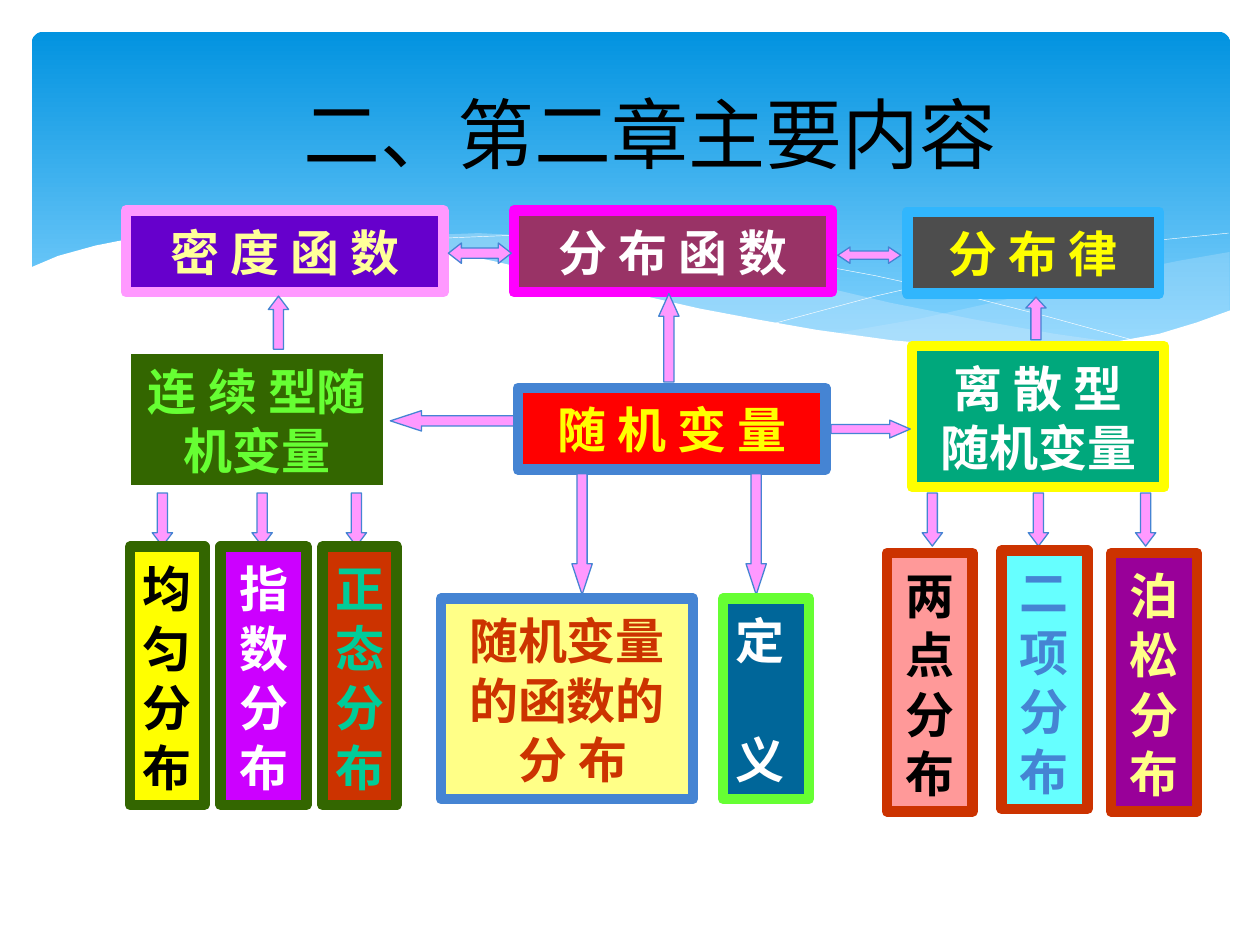
from dataclasses import dataclass

from lxml import etree
from pptx import Presentation
from pptx import util as u
from pptx.dml import color as dml
from pptx.enum import shapes, text
from pptx.oxml import ns

COLORS = {
    "sky": "0293E0", "pale sky": "83D3FE", "mist": "C6E7FC", "azure": "31B6FD",
    "blue": "4584D3", "ocean": "006699", "cyan": "66FFFF", "teal": "00A87C",
    "mint": "00CC99", "forest": "336600", "lime": "66FF33", "yellow": "FFFF00",
    "cream": "FFFF87", "light yellow": "FFFF99", "red": "FF0000", "brick": "CC3300",
    "salmon": "FF9999", "pink": "FF99FF", "magenta": "FF00FF", "plum": "993366",
    "purple": "990099", "violet": "CC00FF", "indigo": "6600CC", "gray": "4D4D4D",
    "black": "000000", "white": "FFFFFF",
}
FONT = "Noto Sans CJK SC"
KIND = shapes.MSO_SHAPE
ALIGN = text.PP_ALIGN


@dataclass
class Card:
    label: str
    left: float
    top: float
    width: float
    height: float
    fill: str
    border: str
    ink: str
    align: ALIGN = ALIGN.CENTER
    gap: float = 0


@dataclass
class Arrow:
    kind: KIND
    left: float
    top: float
    width: float
    height: float
    head: float


@dataclass
class Wave:
    points: list
    fill: str = ""
    opacity: int = 100


WAVES = [
    Wave([(24.79, 5.08), (23.75, 5.26), (22.63, 5.49), (21.13, 5.84), (19.79, 6.15),
          (18.52, 6.43), (16.79, 6.73), (17.91, 6.88), (19.23, 7.01), (20.4, 7.06),
          (21.69, 7.01), (22.78, 6.86), (23.75, 6.65), (24.79, 6.27)], "mist", 29),
    Wave([(22.68, 6.93), (21.26, 6.73), (19.69, 6.45), (17.93, 6.1), (15.98, 5.64),
          (14.45, 5.28), (13.06, 5.03), (11.81, 4.85), (10.67, 4.75), (9.65, 4.7),
          (8.33, 4.75), (7.26, 4.85), (8.69, 5.05), (10.26, 5.36), (11.4, 5.64),
          (13.46, 6.1), (15.27, 6.48), (16.89, 6.76), (18.34, 6.96), (19.63, 7.04),
          (20.78, 7.06), (21.77, 7.04)], "mist", 40),
    Wave([(7.85, 4.95), (8.97, 4.8), (10.19, 4.75), (11.43, 4.78), (12.95, 4.88),
          (14.78, 5.08), (16.15, 5.28), (17.65, 5.56), (19.3, 5.92), (21.11, 6.38),
          (23.04, 6.91)]),
    Wave([(15.57, 6.53), (17.65, 5.97), (19, 5.66), (20.47, 5.33), (22, 5.05),
          (23.47, 4.83), (24.77, 4.7)]),
    Wave([(0.58, 5.41), (1.17, 5.16), (1.93, 4.95), (2.69, 4.8), (3.71, 4.7),
          (4.9, 4.67), (6.35, 4.72), (7.42, 4.83), (8.64, 5), (9.93, 5.26),
          (11.35, 5.59), (12.78, 5.92), (14.1, 6.22), (15.32, 6.45), (16.46, 6.65),
          (17.98, 6.86), (19.33, 6.98), (20.55, 7.04), (21.59, 6.98), (22.53, 6.88),
          (23.37, 6.73), (24.13, 6.5), (24.82, 6.25), (24.82, 8.36), (0.58, 8.36)], "white"),
]

CONCEPTS = [
    Card("随 机 变 量", 10.44, 7.82, 6.2, 1.65, "red", "blue", "yellow"),
    Card("离 散 型\n随机变量", 18.39, 6.98, 5.08, 2.84, "teal", "yellow", "white"),
    Card("连 续 型随机变量", 2.54, 7.04, 5.28, 2.84, "forest", "white", "lime"),
    Card("分 布 函 数", 10.36, 4.24, 6.4, 1.65, "plum", "magenta", "white"),
    Card("分 布 律", 18.29, 4.27, 5.08, 1.65, "gray", "azure", "yellow"),
    Card("密 度 函 数", 2.54, 4.24, 6.4, 1.65, "indigo", "pink", "light yellow"),
]

ARROWS = [
    Arrow(KIND.RIGHT_ARROW, 16.75, 8.47, 1.6, 0.36, 1.15),
    Arrow(KIND.LEFT_ARROW, 7.87, 8.28, 2.49, 0.41, 1.53),
    Arrow(KIND.UP_ARROW, 13.28, 5.92, 0.41, 1.78, 1.11),
    Arrow(KIND.UP_ARROW, 20.68, 5.99, 0.41, 0.86, 0.54),
    Arrow(KIND.UP_ARROW, 5.41, 5.97, 0.41, 1.07, 0.66),
    Arrow(KIND.LEFT_RIGHT_ARROW, 9.04, 4.9, 1.27, 0.41, 0.64),
    Arrow(KIND.LEFT_RIGHT_ARROW, 16.89, 4.98, 1.27, 0.33, 0.75),
    *[Arrow(KIND.DOWN_ARROW, left, 9.94, 0.41, 1.07, 0.66)
      for left in (3.07, 5.08, 6.98, 18.59, 20.73, 22.89)],
    *[Arrow(KIND.DOWN_ARROW, left, 9.55, 0.41, 2.44, 1.52) for left in (11.53, 15.04)],
]

DETAILS = [
    Card("均\n匀\n分\n布", 2.62, 11.02, 1.5, 5.21, "yellow", "forest", "black"),
    Card("指\n数\n分\n布", 4.45, 11.02, 1.73, 5.21, "violet", "forest", "white"),
    Card("正\n态\n分\n布", 6.5, 11.02, 1.5, 5.21, "brick", "forest", "mint"),
    Card("两\n点\n分\n布", 17.88, 11.15, 1.73, 5.21, "salmon", "brick", "black"),
    Card("二\n项\n分\n布", 20.19, 11.1, 1.73, 5.21, "cyan", "brick", "blue"),
    Card("泊\n松\n分\n布", 22.4, 11.15, 1.73, 5.21, "purple", "brick", "cream"),
    Card("随机变量\n的函数的\n 分 布", 8.89, 12.07, 5.08, 4.04, "cream", "blue", "brick"),
    Card("定\n义", 14.58, 12.07, 1.73, 4.04, "ocean", "lime", "white", ALIGN.LEFT, 34),
]


def rgb(name: str) -> dml.RGBColor:
    return dml.RGBColor.from_string(COLORS[name])


def paint(shape, fill: str = "", line: str = "", width: float = 0) -> None:
    shape.shadow.inherit = False
    if fill:
        shape.fill.solid()
        shape.fill.fore_color.rgb = rgb(fill)
    else:
        shape.fill.background()
    if line:
        shape.line.color.rgb = rgb(line)
        shape.line.width = u.Pt(width)
    else:
        shape.line.fill.background()


def write(box, content: str, *, size: float, ink: str, latin: str = FONT, bold: bool = False,
          align: ALIGN = ALIGN.CENTER, anchor=text.MSO_ANCHOR.TOP,
          spacing: float = 0, gap: float = 0, inset: float = 0.13) -> None:
    frame = box.text_frame
    frame.word_wrap = True
    frame.vertical_anchor = anchor
    frame.margin_top = u.Cm(inset)
    for index, line in enumerate(content.split("\n")):
        para = frame.add_paragraph() if index else frame.paragraphs[0]
        para.alignment = align
        if spacing:
            para.line_spacing = u.Pt(spacing)
        if gap and index:
            para.space_before = u.Pt(gap)
        span = para.add_run()
        span.text = line
        span.font.size = u.Pt(size)
        span.font.bold = bold
        span.font.name = latin
        span.font.color.rgb = rgb(ink)
        etree.SubElement(span.font._element, ns.qn("a:ea")).set("typeface", FONT)


def add_shape(page, kind: KIND, left: float, top: float, width: float, height: float):
    return page.shapes.add_shape(kind, u.Cm(left), u.Cm(top), u.Cm(width), u.Cm(height))


def draw_sky(page) -> None:
    sky = add_shape(page, KIND.ROUNDED_RECTANGLE, 0.64, 0.64, 24.16, 6.86)
    paint(sky)
    sky.adjustments[0] = 0.034
    sky.fill.gradient()
    sky.fill.gradient_angle = 270
    for stop, (place, name) in zip(sky.fill.gradient_stops, ((0, "sky"), (0.9, "pale sky"))):
        stop.position = place
        stop.color.rgb = rgb(name)


def draw_wave(page, wave: Wave) -> None:
    start, *rest = [(u.Cm(x), u.Cm(y)) for x, y in wave.points]
    builder = page.shapes.build_freeform(*start)
    builder.add_line_segments(rest, close=bool(wave.fill))
    shape = builder.convert_to_shape()
    paint(shape, wave.fill, "" if wave.fill else "white", 0.25)
    if wave.opacity < 100:
        tint = shape._element.spPr.find(ns.qn("a:solidFill"))[0]
        etree.SubElement(tint, ns.qn("a:alpha")).set("val", str(wave.opacity * 1000))


def draw_card(page, card: Card) -> None:
    box = add_shape(page, KIND.RECTANGLE, card.left, card.top, card.width, card.height)
    paint(box, card.fill, card.border, 6)
    write(box, card.label, size=28, ink=card.ink, bold=True, align=card.align,
          spacing=34, gap=card.gap, inset=0.23)


def draw_arrow(page, arrow: Arrow) -> None:
    shape = add_shape(page, arrow.kind, arrow.left, arrow.top, arrow.width, arrow.height)
    shape.adjustments[0] = 0.5
    shape.adjustments[1] = arrow.head
    paint(shape, "pink", "blue", 0.75)


def main() -> None:
    deck = Presentation()
    deck.slide_width, deck.slide_height = u.Cm(25.4), u.Cm(19.05)
    page = deck.slides.add_slide(deck.slide_layouts[6])
    draw_sky(page)
    for wave in WAVES:
        draw_wave(page, wave)
    title = page.shapes.add_textbox(u.Cm(2.29), u.Cm(1.6), u.Cm(21.64), u.Cm(2.13))
    write(title, "二、第二章主要内容", size=44, ink="black", latin="Calibri",
          anchor=text.MSO_ANCHOR.MIDDLE)
    for card in CONCEPTS:
        draw_card(page, card)
    for arrow in ARROWS:
        draw_arrow(page, arrow)
    for card in DETAILS:
        draw_card(page, card)
    deck.save("out.pptx")


if __name__ == "__main__":
    main()
